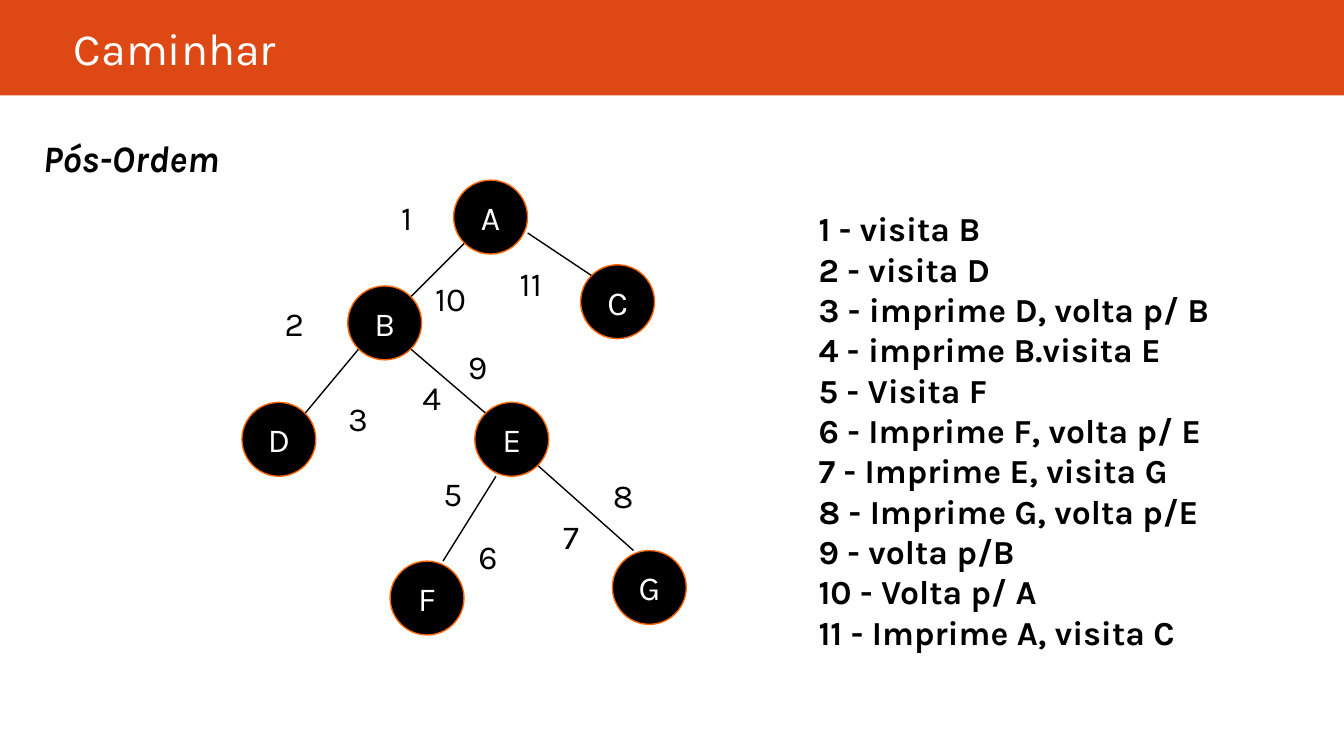
from dataclasses import dataclass

from lxml import etree
from pptx import Presentation
from pptx import util as u
from pptx.dml.color import RGBColor
from pptx.enum import shapes, text
from pptx.oxml import ns

WIDTH = 10
HEIGHT = WIDTH * 9 / 16
BAND = 0.71
CELL = 0.63 / 8
LEFT, TOP = 1.8, 1.34
DIAMETER = 0.55


@dataclass(frozen=True)
class Theme:
    font: str = "Karla"
    band: str = "DD4814"
    rim: str = "FF6600"
    ink: str = "000000"
    paper: str = "FFFFFF"
    title: int = 24
    heading: int = 20
    body: int = 18
    line: float = 0.75


@dataclass(frozen=True)
class Node:
    name: str
    column: float
    row: float


@dataclass(frozen=True)
class Edge:
    start: tuple[float, float]
    end: tuple[float, float]


@dataclass(frozen=True)
class Label:
    number: int
    column: float
    row: float
    width: float = 0.34


THEME = Theme()
NODES = [
    Node("A", 20, 0), Node("B", 10, 10), Node("D", 0, 21), Node("C", 32, 8),
    Node("E", 22, 21), Node("F", 14, 36), Node("G", 35, 35),
]
EDGES = [
    Edge((21, 6), (16, 11)), Edge((11, 16), (6, 22)), Edge((27, 5), (33, 9)),
    Edge((16, 16), (23, 22)), Edge((24, 28), (19, 36)), Edge((28, 27), (37, 35)),
]
LABELS = [
    Label(2, 2.8, 11), Label(1, 13.8, 1, 0.41), Label(3, 8.8, 20),
    Label(4, 15.8, 18), Label(5, 17.8, 27), Label(6, 21.1, 33),
    Label(7, 29.1, 31.1), Label(8, 33.8, 27.2), Label(9, 20.1, 15),
    Label(10, 17, 8.6, 0.63), Label(11, 25, 7.2, 0.63),
]
STEPS = [
    "1 - visita B", "2 - visita D", "3 - imprime D, volta p/ B",
    "4 - imprime B.visita E", "5 - Visita F", "6 - Imprime F, volta p/ E",
    "7 - Imprime E, visita G", "8 - Imprime G, volta p/E", "9 - volta p/B",
    "10 - Volta p/ A", "11 - Imprime A, visita C",
]


def color(value: str) -> RGBColor:
    return RGBColor.from_string(value)


def grid(column: float, row: float) -> tuple[int, int]:
    return u.Inches(LEFT + column * CELL), u.Inches(TOP + row * CELL)


def place(box, left: float, top: float, width: float, height: float) -> None:
    box.left, box.top = u.Inches(left), u.Inches(top)
    box.width, box.height = u.Inches(width), u.Inches(height)


def write(box, lines: list[str], size: int, ink: str = THEME.ink,
          bold: bool = False, italic: bool = False, wrap: bool = True,
          align=text.PP_ALIGN.LEFT, anchor=text.MSO_ANCHOR.TOP,
          inset: float = 0.05) -> None:
    frame = box.text_frame
    frame.word_wrap = wrap
    frame.auto_size = text.MSO_AUTO_SIZE.NONE
    frame.vertical_anchor = anchor
    frame.margin_left = frame.margin_right = u.Inches(0.1)
    frame.margin_top = frame.margin_bottom = u.Inches(inset)
    for index, line in enumerate(lines):
        para = frame.add_paragraph() if index else frame.paragraphs[0]
        para.alignment = align
        para.line_spacing = 1.0
        para.space_before = para.space_after = u.Pt(0)
        span = para.add_run()
        span.text = line
        span.font.name = THEME.font
        span.font.size = u.Pt(size)
        span.font.bold, span.font.italic = bold, italic
        span.font.color.rgb = color(ink)


def remove_bullets(box) -> None:
    for para in box.text_frame.paragraphs:
        properties = para._p.get_or_add_pPr()
        properties.set("marL", "0")
        properties.set("indent", "0")
        etree.SubElement(properties, ns.qn("a:buNone"))


def draw_band(page) -> None:
    band = page.shapes.add_shape(shapes.MSO_SHAPE.RECTANGLE, 0, 0,
                                 u.Inches(WIDTH), u.Inches(BAND))
    band.shadow.inherit = False
    band.fill.solid()
    band.fill.fore_color.rgb = color(THEME.band)
    band.line.fill.background()
    page.shapes.title.element.addprevious(band.element)


def draw_node(tree, node: Node) -> None:
    side = u.Inches(DIAMETER)
    circle = tree.shapes.add_shape(shapes.MSO_SHAPE.OVAL,
                                   *grid(node.column, node.row), side, side)
    circle.shadow.inherit = False
    circle.fill.solid()
    circle.fill.fore_color.rgb = color(THEME.ink)
    circle.line.color.rgb = color(THEME.rim)
    circle.line.width = u.Pt(THEME.line)
    write(circle, [node.name], THEME.body, THEME.paper, wrap=False,
          align=text.PP_ALIGN.CENTER, anchor=text.MSO_ANCHOR.MIDDLE)


def draw_edge(tree, edge: Edge) -> None:
    line = tree.shapes.add_connector(shapes.MSO_CONNECTOR.STRAIGHT,
                                     *grid(*edge.start), *grid(*edge.end))
    line.line.color.rgb = color(THEME.ink)
    line.line.width = u.Pt(THEME.line)
    etree.SubElement(line.element.spPr, ns.qn("a:effectLst"))


def draw_label(tree, label: Label) -> None:
    box = tree.shapes.add_textbox(*grid(label.column, label.row),
                                  u.Inches(label.width), u.Inches(0.38))
    write(box, [str(label.number)], THEME.body)


def main() -> None:
    deck = Presentation()
    deck.slide_width, deck.slide_height = u.Inches(WIDTH), u.Inches(HEIGHT)
    page = deck.slides.add_slide(deck.slide_layouts[1])
    middle = text.MSO_ANCHOR.MIDDLE

    draw_band(page)
    title = page.shapes.title
    place(title, 0.45, 0, 9.05, BAND)
    write(title, ["Caminhar"], THEME.title, THEME.paper, anchor=middle, inset=0.1)

    heading = page.shapes.add_textbox(0, 0, 0, 0)
    place(heading, 0.22, 0.82, 3, BAND)
    write(heading, ["Pós-Ordem"], THEME.heading, bold=True, italic=True,
          anchor=middle, inset=0.1)

    steps = page.placeholders[1]
    place(steps, 5.99, 1.5, 3.58, 3.18)
    write(steps, STEPS, THEME.body, bold=True)
    remove_bullets(steps)

    tree = page.shapes.add_group_shape()
    for node in NODES:
        draw_node(tree, node)
    for edge in EDGES:
        draw_edge(tree, edge)
    for label in LABELS:
        draw_label(tree, label)

    deck.save("out.pptx")


if __name__ == "__main__":
    main()
